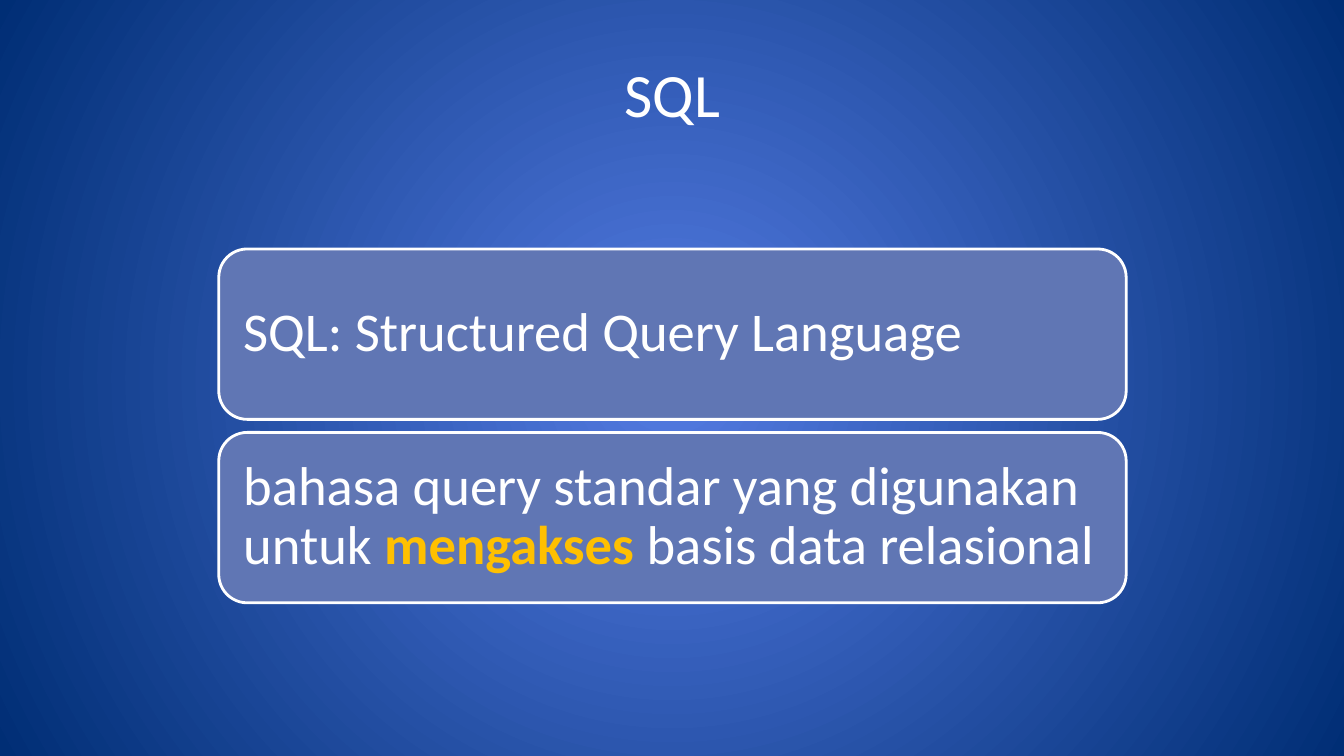
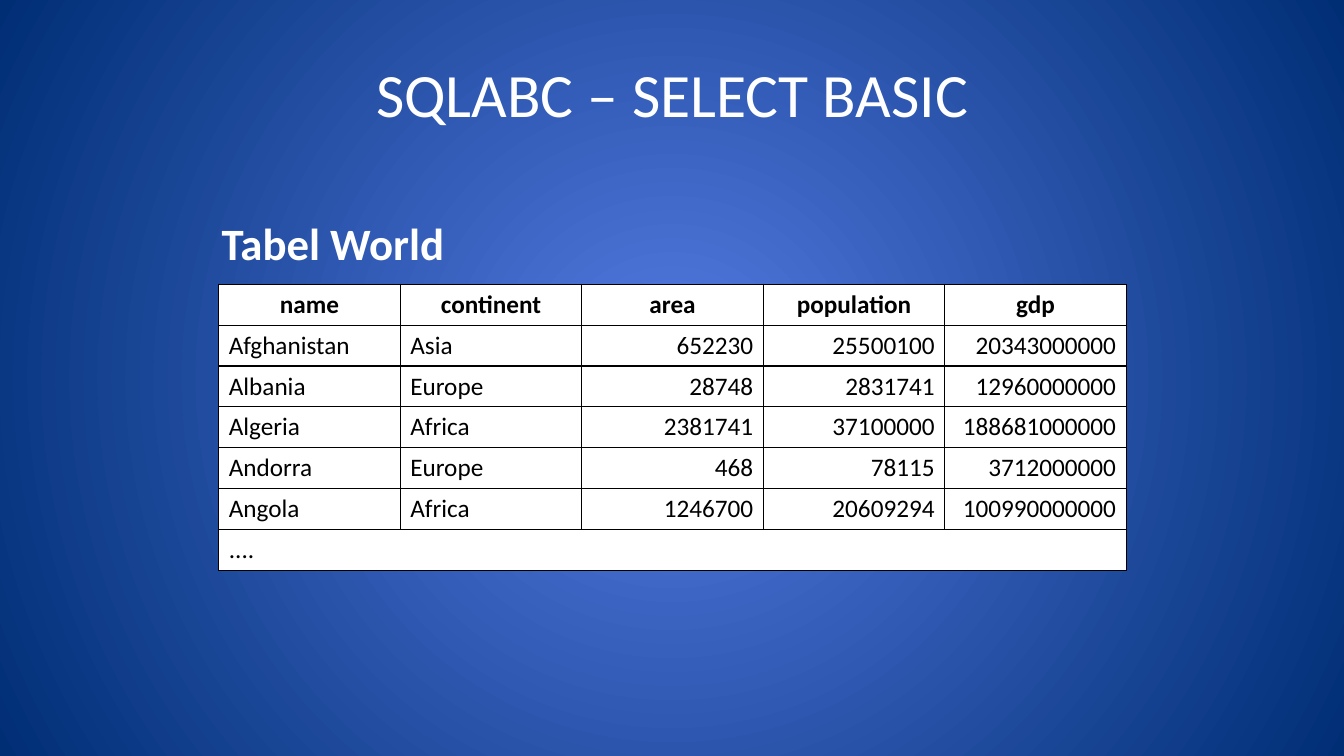
"""Build two SQL lesson slides: a definition and a sample table."""
from lxml import etree
from pptx import Presentation
from pptx.dml.color import RGBColor
from pptx.enum.shapes import MSO_SHAPE
from pptx.enum.text import MSO_ANCHOR, PP_ALIGN
from pptx.oxml import parse_xml
from pptx.oxml.ns import nsdecls, qn
from pptx.util import Inches, Pt

ROUNDED = MSO_SHAPE.ROUNDED_RECTANGLE
MIDDLE = MSO_ANCHOR.MIDDLE
LEFT, CENTER, RIGHT = PP_ALIGN.LEFT, PP_ALIGN.CENTER, PP_ALIGN.RIGHT

THEME = {
    "font": "Calibri",
    "white": RGBColor.from_string("FFFFFF"),
    "black": RGBColor.from_string("000000"),
    "accent": RGBColor.from_string("FFC000"),
    "panel": RGBColor.from_string("6076B4"),
    "glow": RGBColor.from_string("547BE2"),
    "edge": RGBColor.from_string("002E75"),
    "title": Pt(44),
    "statement": Pt(39),
    "caption": Pt(32),
    "cell": Pt(18),
}


def write(frame, runs, size, align=LEFT, color="white"):
    """Fill the first paragraph with (text, format) runs."""
    paragraph = frame.paragraphs[0]
    paragraph.alignment = align
    for text, changes in runs:
        run = paragraph.add_run()
        run.text = text
        style = {"color": color, "bold": False, **changes}
        run.font.color.rgb = THEME[style.pop("color")]
        for key, value in {"name": THEME["font"], "size": THEME[size], **style}.items():
            setattr(run.font, key, value)
    return paragraph


def add_titled_slide(title):
    """Add a blank slide with the shared centred title."""
    slide = prs.slides.add_slide(prs.slide_layouts[6])
    frame = slide.shapes.add_textbox(Inches(0.67), Inches(0.3), Inches(12), Inches(1.25)).text_frame
    frame.word_wrap = True
    frame.vertical_anchor = MIDDLE
    write(frame, [(title, {})], "title", CENTER)
    return slide


prs = Presentation()
prs.slide_width, prs.slide_height = Inches(13.33), Inches(7.5)

background = prs.slide_master.background.fill
background.gradient()
for stop, (position, color) in zip(background.gradient_stops, [(0, "glow"), (1, "edge")]):
    stop.position = position
    stop.color.rgb = THEME[color]
gradient = prs.slide_master.element.find(".//" + qn("a:gradFill"))
gradient.remove(gradient.find(qn("a:lin")))
circle = etree.SubElement(gradient, qn("a:path"), {"path": "circle"})
etree.SubElement(circle, qn("a:fillToRect"), dict.fromkeys("ltrb", "50000"))

content_left, content_width = Inches(2.17), Inches(9)

definition_slide = add_titled_slide("SQL")
statements = [
    [("SQL: Structured Query Language", {})],
    [
        ("bahasa query standar yang digunakan untuk ", {}),
        ("mengakses ", {"color": "accent", "bold": True}),
        ("basis data relasional", {}),
    ],
]
for index, statement in enumerate(statements):
    panel = definition_slide.shapes.add_shape(
        ROUNDED, content_left, Inches(2.47 + index * 1.82), content_width, Inches(1.69))
    panel.shadow.inherit = False
    panel.fill.solid()
    panel.fill.fore_color.rgb = THEME["panel"]
    panel.line.color.rgb = THEME["white"]
    panel.line.width = Pt(2)
    for side in ("left", "top", "right", "bottom"):
        setattr(panel.text_frame, f"margin_{side}", Inches(0.16))
    panel.text_frame.word_wrap = True
    panel.text_frame.vertical_anchor = MIDDLE
    write(panel.text_frame, statement, "statement").line_spacing = 0.9

table_slide = add_titled_slide("SQLABC – SELECT BASIC")
caption = table_slide.shapes.add_textbox(Inches(2.1), Inches(2.09), Inches(2.43), Inches(0.64))
caption.text_frame.word_wrap = False
write(caption.text_frame, [("Tabel World", {"bold": True})], "caption")

rows = [
    ("name", "continent", "area", "population", "gdp"),
    ("Afghanistan", "Asia", "652230", "25500100", "20343000000"),
    ("Albania", "Europe", "28748", "2831741", "12960000000"),
    ("Algeria", "Africa", "2381741", "37100000", "188681000000"),
    ("Andorra", "Europe", "468", "78115", "3712000000"),
    ("Angola", "Africa", "1246700", "20609294", "100990000000"),
    ("....", "", "", "", ""),
]
world = table_slide.shapes.add_table(
    len(rows), len(rows[0]), content_left, Inches(2.82), content_width, Inches(2.84)).table
world.first_row = world.horz_banding = False
for row_index, values in enumerate(rows):
    for column_index, value in enumerate(values):
        cell = world.cell(row_index, column_index)
        for edge in ("lnL", "lnR", "lnT", "lnB"):
            cell._tc.get_or_add_tcPr().append(parse_xml(
                f'<a:{edge} {nsdecls("a")} w="12700"><a:solidFill>'
                f'<a:srgbClr val="{THEME["black"]}"/></a:solidFill></a:{edge}>'))
        cell.fill.solid()
        cell.fill.fore_color.rgb = THEME["white"]
        header = row_index == 0
        align = CENTER if header else RIGHT if column_index > 1 else LEFT
        if value:
            write(cell.text_frame, [(value, {"bold": header})], "cell", align, "black")
last_row = len(rows) - 1
world.cell(last_row, 0).merge(world.cell(last_row, len(rows[0]) - 1))

prs.save("out.pptx")
